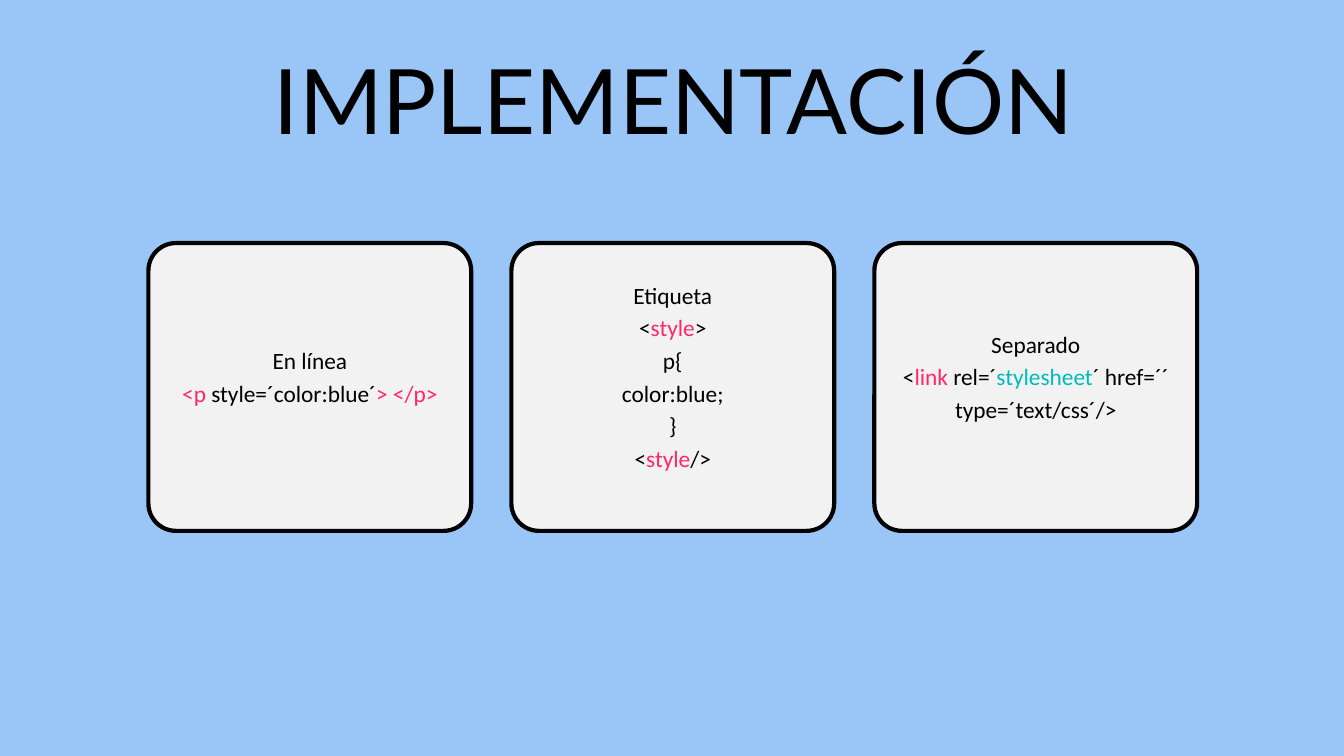
"""Build the slide on the three ways of adding CSS to a page."""
from pptx import Presentation
from pptx.dml.color import RGBColor
from pptx.enum.shapes import MSO_SHAPE
from pptx.enum.text import MSO_ANCHOR, MSO_AUTO_SIZE, PP_ALIGN
from pptx.util import Cm, Pt

BLACK = RGBColor(0x00, 0x00, 0x00)
PINK = RGBColor(0xFF, 0x27, 0x68)
TEAL = RGBColor(0x00, 0xBB, 0xBB)
GREY = RGBColor(0xF2, 0xF2, 0xF2)
SKY = RGBColor(0x99, 0xC6, 0xF6)

HEADING = "IMPLEMENTACIÓN"
METHODS = [
    [
        [("En línea", BLACK)],
        [("<p ", PINK), ("style=´color:blue´", BLACK), ("> </p>", PINK)],
    ],
    [
        [("Etiqueta", BLACK)],
        [("<", BLACK), ("style", PINK), (">", BLACK)],
        [("p{", BLACK)],
        [("color:blue;", BLACK)],
        [("}", BLACK)],
        [("<", BLACK), ("style", PINK), ("/>", BLACK)],
    ],
    [
        [("Separado", BLACK)],
        [("<", BLACK), ("link ", PINK), ("rel=´", BLACK),
         ("stylesheet", TEAL), ("´ href=´´ type=´text/css´/>", BLACK)],
    ],
]

CARD_LEFT, CARD_TOP = 5.61, 9.19
CARD_WIDTH, CARD_HEIGHT = 12.2, 10.88
CARD_PITCH = 13.72
CARD_RADIUS = 1.04

HEADING_BOX = {"left": Cm(7.9), "top": Cm(2.41), "width": Cm(35.13), "height": Cm(3.53)}
HEADING_FRAME = {
    "margin_left": 0, "margin_right": 0, "margin_top": 0, "margin_bottom": 0,
    "vertical_anchor": MSO_ANCHOR.TOP, "word_wrap": True,
    "auto_size": MSO_AUTO_SIZE.NONE,
}
CARD_FRAME = {
    "margin_left": Cm(0.1), "margin_right": Cm(0.1),
    "margin_top": 0, "margin_bottom": Cm(0.97),
    "vertical_anchor": MSO_ANCHOR.MIDDLE, "word_wrap": True,
}
HEADING_LINE = {"alignment": PP_ALIGN.CENTER, "line_spacing": Pt(94.8)}
CODE_LINE = {"alignment": PP_ALIGN.CENTER, "line_spacing": Pt(35)}
HEADING_FONT = {"name": "Lato", "size": Pt(96.7)}
CODE_FONT = {"name": "Calibri", "size": Pt(25)}


def apply(target, formats):
    for attribute, value in formats.items():
        setattr(target, attribute, value)


def write_line(paragraph, pieces, line_format, font_format):
    apply(paragraph, line_format)
    for words, color in pieces:
        run = paragraph.add_run()
        run.text = words
        apply(run.font, font_format)
        run.font.color.rgb = color


def add_card(slide, column, code_lines):
    card = slide.shapes.add_shape(
        MSO_SHAPE.ROUNDED_RECTANGLE, Cm(CARD_LEFT + column * CARD_PITCH),
        Cm(CARD_TOP), Cm(CARD_WIDTH), Cm(CARD_HEIGHT))
    card.adjustments[0] = CARD_RADIUS / CARD_HEIGHT
    card.shadow.inherit = False
    card.fill.solid()
    card.fill.fore_color.rgb = GREY
    card.line.color.rgb = BLACK
    card.line.width = Pt(4.5)
    frame = card.text_frame
    apply(frame, CARD_FRAME)
    for number, pieces in enumerate(code_lines):
        paragraph = frame.add_paragraph() if number else frame.paragraphs[0]
        write_line(paragraph, pieces, CODE_LINE, CODE_FONT)


def main():
    deck = Presentation()
    deck.slide_width, deck.slide_height = Cm(50.8), Cm(28.58)
    slide = deck.slides.add_slide(deck.slide_layouts.get_by_name("Title Only"))
    slide.background.fill.solid()
    slide.background.fill.fore_color.rgb = SKY

    heading = slide.shapes.title
    apply(heading, HEADING_BOX)
    apply(heading.text_frame, HEADING_FRAME)
    write_line(heading.text_frame.paragraphs[0], [(HEADING, BLACK)],
               HEADING_LINE, HEADING_FONT)

    for column, code_lines in enumerate(METHODS):
        add_card(slide, column, code_lines)
    deck.save("out.pptx")


if __name__ == "__main__":
    main()
